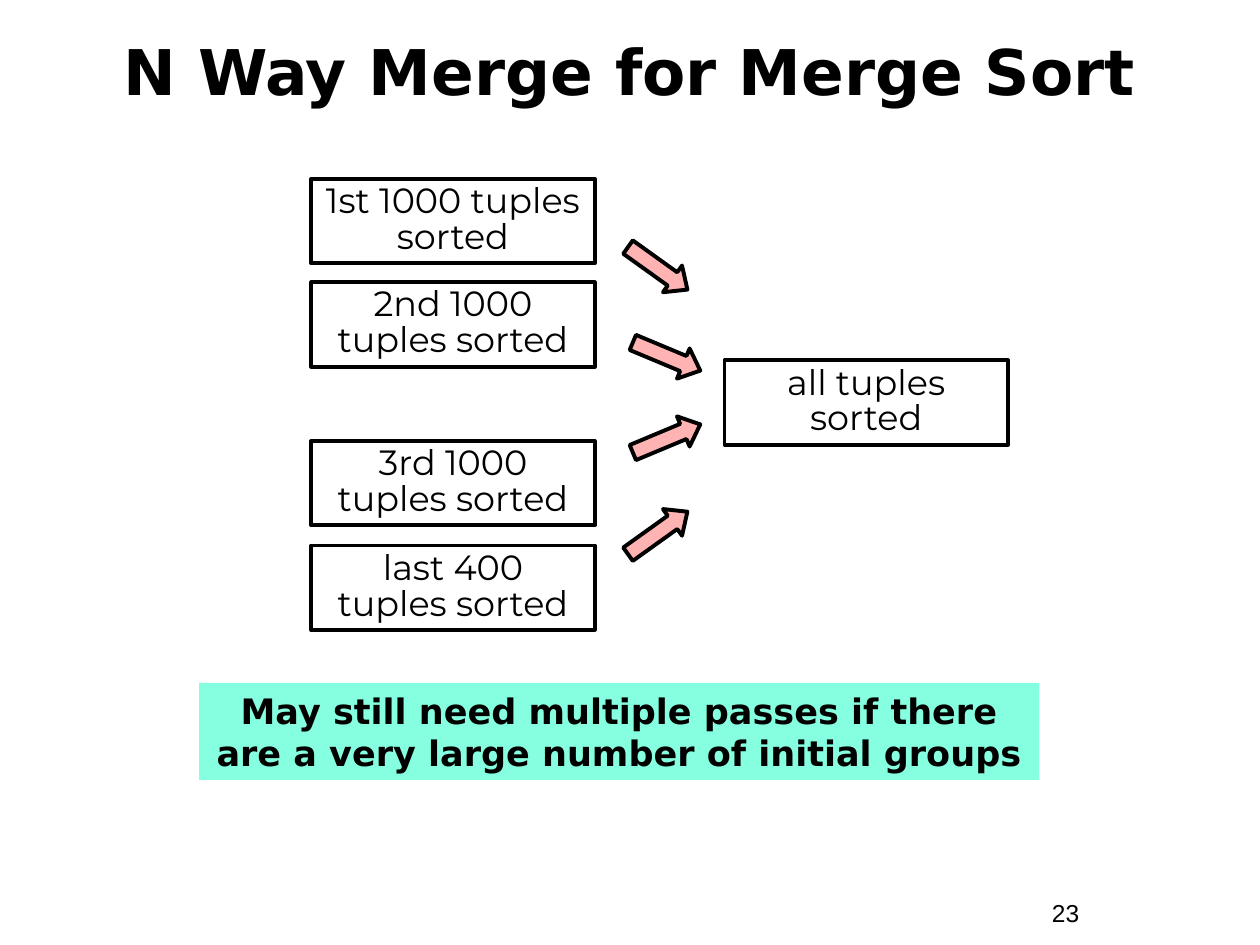
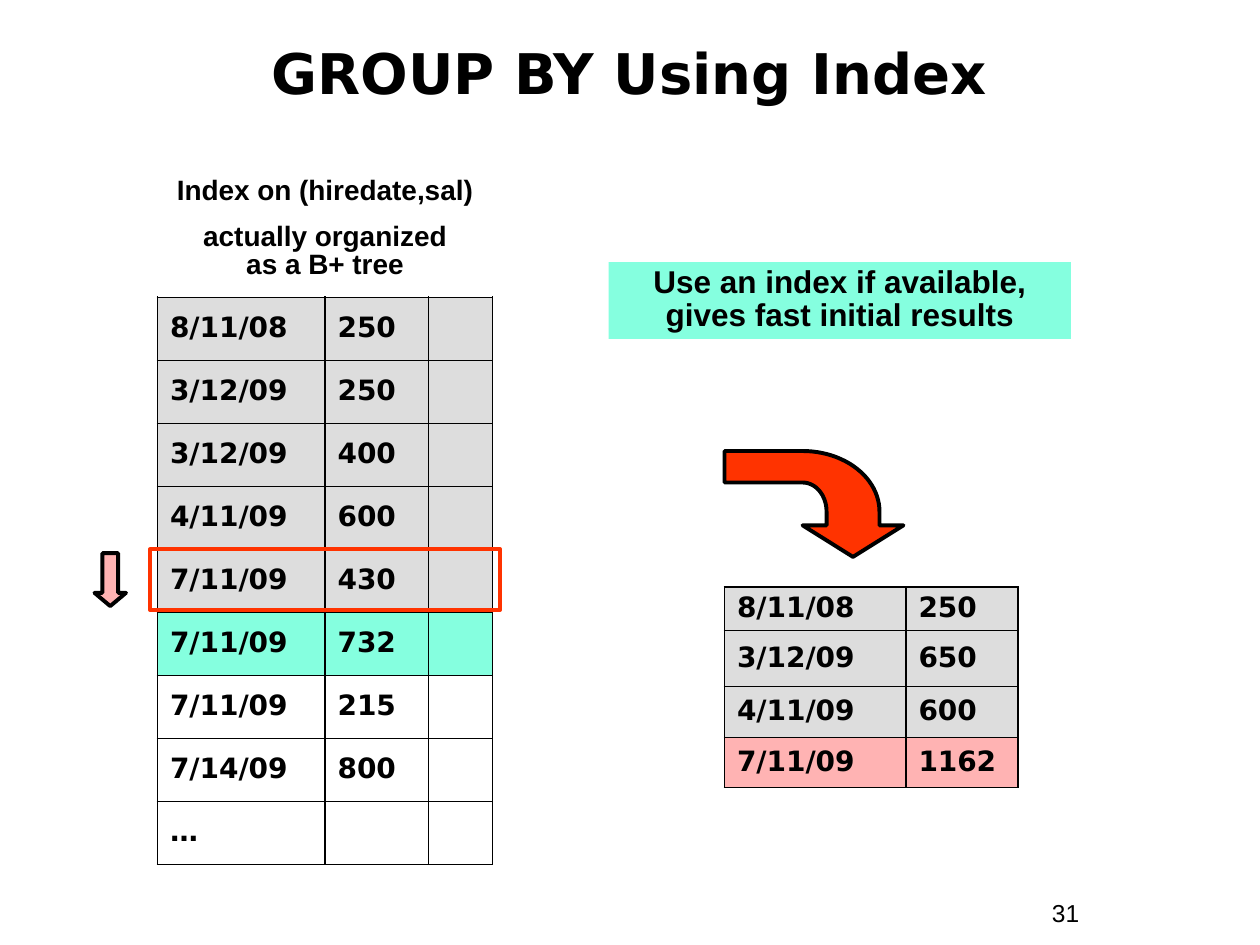
import copy
import math

import pptx
import pptx.dml.color
import pptx.enum.shapes
import pptx.enum.text
import pptx.oxml
import pptx.oxml.ns
import pptx.util

Inches = pptx.util.Inches
Pt = pptx.util.Pt
RGBColor = pptx.dml.color.RGBColor
Shape = pptx.enum.shapes.MSO_SHAPE
Align = pptx.enum.text.PP_ALIGN
Anchor = pptx.enum.text.MSO_ANCHOR

BLACK = RGBColor(0x00, 0x00, 0x00)
PINK = RGBColor(0xFF, 0xB3, 0xB3)
MINT = RGBColor(0x85, 0xFF, 0xDF)
GREY = RGBColor(0xDD, 0xDD, 0xDD)
RED = RGBColor(0xFF, 0x33, 0x00)

HEADING_FONT = "DejaVu Sans"
BODY_FONT = "Arial"
DIAGRAM_FONT = "Montserrat"
OUTLINE = 2.25
THICK_BORDER = 1.08
THIN_BORDER = 0.45


def write_text(text_frame, lines, font, size, bold=False, align=Align.CENTER,
               spacing=1.0, gap=0, anchor=Anchor.TOP):
    text_frame.word_wrap = True
    text_frame.vertical_anchor = anchor
    for index, line in enumerate(lines):
        paragraph = text_frame.paragraphs[0] if index == 0 else text_frame.add_paragraph()
        paragraph.text = line
        paragraph.alignment = align
        paragraph.line_spacing = spacing
        if index:
            paragraph.space_before = Pt(gap)
        for run in paragraph.runs:
            run.font.name = font
            run.font.size = Pt(size)
            run.font.bold = bold
            run.font.color.rgb = BLACK
        for line_break in paragraph._p.findall(pptx.oxml.ns.qn("a:br")):
            line_break.append(copy.deepcopy(paragraph.runs[0]._r.rPr))


def add_text(slide, left, top, width, height, lines, font, size, **style):
    box = slide.shapes.add_textbox(Inches(left), Inches(top), Inches(width), Inches(height))
    write_text(box.text_frame, lines, font, size, **style)


def paint(shape, fill=None, line=None):
    shape.shadow.inherit = False
    if fill is None:
        shape.fill.background()
    else:
        shape.fill.solid()
        shape.fill.fore_color.rgb = fill
    if line is None:
        shape.line.fill.background()
    else:
        shape.line.color.rgb = line
        shape.line.width = Pt(OUTLINE)


def add_shape(slide, kind, left, top, width, height, fill=None, line=None):
    shape = slide.shapes.add_shape(
        kind, Inches(left), Inches(top), Inches(width), Inches(height))
    paint(shape, fill, line)
    return shape


def add_note(slide, left, top, width, height, text, font, size, spacing=1.0):
    note = add_shape(slide, Shape.RECTANGLE, left, top, width, height, fill=MINT)
    write_text(note.text_frame, [text], font, size, bold=True, spacing=spacing)


def add_frame(presentation, title, title_top, title_size, title_spacing, number):
    slide = presentation.slides.add_slide(presentation.slide_layouts[6])
    add_text(slide, 8.25, 7.08, 0.92, 0.34, [number], BODY_FONT, 14, align=Align.LEFT)
    add_text(slide, 0.33, title_top, 9.33, 0.92, [title], HEADING_FONT, title_size,
             bold=True, spacing=title_spacing, anchor=Anchor.MIDDLE)
    return slide


def add_merge_diagram(slide, left, top):
    tuple_boxes = [
        (0, 0, "1st 1000 tuples sorted"),
        (0, 0.82, "2nd 1000 tuples sorted"),
        (0, 2.08, "3rd 1000 tuples sorted"),
        (0, 2.91, "last 400 tuples sorted"),
        (3.28, 1.44, "all tuples sorted"),
    ]
    for x, y, text in tuple_boxes:
        box = add_shape(slide, Shape.RECTANGLE, left + x, top + y, 2.25, 0.67, line=BLACK)
        write_text(box.text_frame, [text], DIAGRAM_FONT, 20, spacing=0.85)

    merge_arrows = [(2.46, 0.58, 35.6), (2.53, 1.28, 22.7),
                    (2.53, 1.93, -22.7), (2.46, 2.68, -35.6)]
    for x, y, angle in merge_arrows:
        arrow = add_shape(slide, Shape.RIGHT_ARROW, left + x, top + y, 0.58, 0.26,
                          fill=PINK, line=BLACK)
        arrow.adjustments[1] = 0.56
        arrow.rotation = angle


def add_border(cell, side, width):
    cell._tc.get_or_add_tcPr().append(pptx.oxml.parse_xml(
        f'<a:ln{side} {pptx.oxml.ns.nsdecls("a")} w="{int(Pt(width))}">'
        f'<a:solidFill><a:srgbClr val="{BLACK}"/></a:solidFill></a:ln{side}>'))


def add_index_table(slide, left, top, widths, heights, rows, fills):
    table = slide.shapes.add_table(
        len(rows), len(widths), Inches(left), Inches(top),
        Inches(sum(widths)), Inches(sum(heights))).table
    table.first_row = False
    table.horz_banding = False
    for column, width in zip(table.columns, widths):
        column.width = Inches(width)
    last = len(rows) - 1
    for index, (values, height, fill) in enumerate(zip(rows, heights, fills)):
        table.rows[index].height = Inches(height)
        for column, value in enumerate(values):
            cell = table.cell(index, column)
            write_text(cell.text_frame, [value], HEADING_FONT, 16, bold=True,
                       align=Align.LEFT, spacing=0.9)
            cell.vertical_anchor = Anchor.MIDDLE
            add_border(cell, "L", THICK_BORDER)
            add_border(cell, "R", THICK_BORDER)
            add_border(cell, "T", THICK_BORDER if index == 0 else THIN_BORDER)
            add_border(cell, "B", THICK_BORDER if index == last else THIN_BORDER)
            if fill is None:
                cell.fill.background()
            else:
                cell.fill.solid()
                cell.fill.fore_color.rgb = fill


def quarter_turn(center_x, center_y, radius_x, radius_y, steps=24):
    angles = [math.pi / 2 * step / steps for step in range(steps + 1)]
    return [(center_x + radius_x * math.sin(angle), center_y - radius_y * math.cos(angle))
            for angle in angles]


def add_bent_arrow(slide, left, top):
    outer = quarter_turn(0.62, 0.48, 0.61, 0.48)
    inner = quarter_turn(0.62, 0.48, 0.19, 0.23)
    head = [(1.23, 0.59), (1.42, 0.59), (1.02, 0.84), (0.62, 0.59), (0.81, 0.59)]
    points = outer + head + inner[::-1] + [(0, 0.25)]
    builder = slide.shapes.build_freeform(Inches(left), Inches(top), scale=1.0)
    builder.add_line_segments(
        [(Inches(left + x), Inches(top + y)) for x, y in points], close=True)
    paint(builder.convert_to_shape(), fill=RED, line=BLACK)


def add_index_scan(slide, left, top):
    add_text(slide, left + 0.33, top, 3, 0.92,
             ["Index on (hiredate,sal)", "actually organized\vas a B+ tree"],
             BODY_FONT, 16, bold=True, spacing=0.85, gap=10)
    rows = [
        ("8/11/08", "250", ""),
        ("3/12/09", "250", ""),
        ("3/12/09", "400", ""),
        ("4/11/09", "600", ""),
        ("7/11/09", "430", ""),
        ("7/11/09", "732", ""),
        ("7/11/09", "215", ""),
        ("7/14/09", "800", ""),
        ("…", "", ""),
    ]
    add_index_table(slide, left + 0.5, top + 1, [1.33, 0.82, 0.51], [0.5] * len(rows),
                    rows, [GREY] * 5 + [MINT] + [None] * 3)
    add_shape(slide, Shape.RECTANGLE, left + 0.44, top + 3, 2.78, 0.48, line=RED)
    arrow = add_shape(slide, Shape.DOWN_ARROW, left, top + 3.03, 0.25, 0.42,
                      fill=PINK, line=BLACK)
    arrow.adjustments[1] = 0.42


def add_group_results(slide, left, top):
    add_bent_arrow(slide, left, top)
    rows = [("8/11/08", "250"), ("3/12/09", "650"), ("4/11/09", "600"), ("7/11/09", "1162")]
    add_index_table(slide, left, top + 1.08, [1.44, 0.89], [0.34, 0.45, 0.4, 0.4],
                    rows, [GREY] * 3 + [PINK])


def build_merge_slide(presentation):
    slide = add_frame(presentation, "N Way Merge for Merge Sort", 0.1, 36, 1.0, "23")
    add_merge_diagram(slide, 2.47, 1.42)
    add_note(slide, 1.58, 5.42, 6.67, 0.77,
             "May still need multiple passes if there are a very large number of initial groups",
             HEADING_FONT, 20)


def build_index_slide(presentation):
    slide = add_frame(presentation, "GROUP BY Using Index", 0.15, 32, 0.85, "31")
    add_index_scan(slide, 0.75, 1.36)
    add_group_results(slide, 5.75, 3.58)
    add_note(slide, 4.83, 2.08, 3.67, 0.61,
             "Use an index if available,\vgives fast initial results", BODY_FONT, 18, 0.85)


def main():
    presentation = pptx.Presentation()
    presentation.slide_width = Inches(10)
    presentation.slide_height = Inches(7.5)
    build_merge_slide(presentation)
    build_index_slide(presentation)
    presentation.save("out.pptx")


if __name__ == "__main__":
    main()
